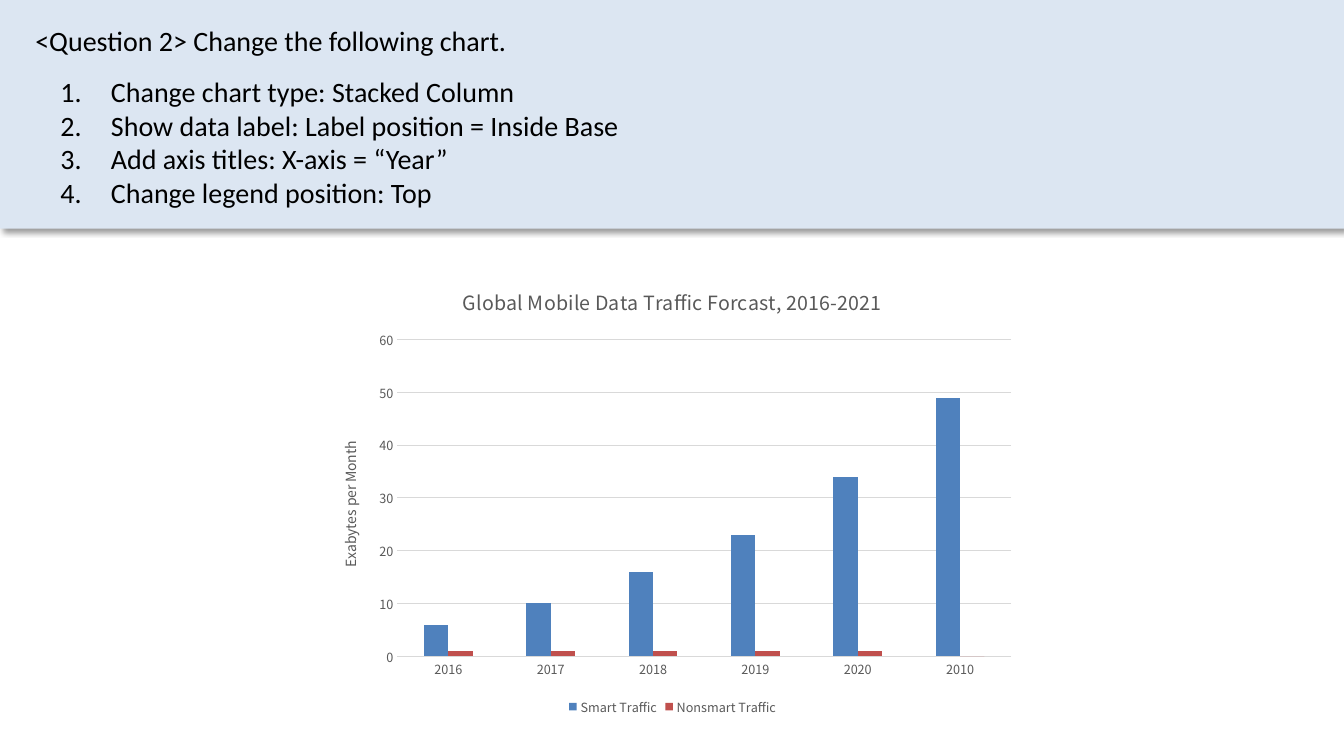
from lxml import etree
from pptx import Presentation
from pptx.chart.data import CategoryChartData
from pptx.dml.color import RGBColor
from pptx.enum.chart import XL_CHART_TYPE as ChartType, XL_LEGEND_POSITION as LegendPosition
from pptx.enum.chart import XL_TICK_MARK as TickMark
from pptx.enum.shapes import MSO_SHAPE as Preset
from pptx.enum.text import MSO_ANCHOR as Anchor, MSO_AUTO_SIZE as AutoSize, PP_ALIGN as Align
from pptx.oxml import parse_xml
from pptx.oxml.ns import nsdecls, qn
from pptx.util import Inches, Pt

CHART_FONT = "Noto Sans CJK KR"
GREY, GRID = "595959", "D9D9D9"
TASKS = [
    "Change chart type: Stacked Column",
    "Show data label: Label position = Inside Base",
    "Add axis titles: X-axis = “Year”",
    "Change legend position: Top",
]
YEARS = ["2016", "2017", "2018", "2019", "2020", "2010"]
TRAFFIC = [
    ("Smart Traffic", [6, 10, 16, 23, 34, 49], "4F81BD"),
    ("Nonsmart Traffic", [1, 1, 1, 1, 1, 0], "C0504D"),
]


def color(value):
    return RGBColor.from_string(value)


def set_font(font, name, size, value):
    font.name, font.size, font.bold = name, Pt(size), False
    font.color.rgb = color(value)


def place(shape, left, top, width, height):
    shape.left, shape.top = Inches(left), Inches(top)
    shape.width, shape.height = Inches(width), Inches(height)


def fill_placeholder(shape, lines):
    frame = shape.text_frame
    frame.text = "\n".join(lines)
    frame.word_wrap, frame.auto_size = True, AutoSize.NONE
    frame.vertical_anchor = Anchor.TOP
    frame.margin_left = frame.margin_right = frame.margin_top = frame.margin_bottom = 0
    for para in frame.paragraphs:
        para.alignment = Align.LEFT
        para.space_before = Pt(0)
        set_font(para.font, "Calibri", 20, "000000")
    return frame.paragraphs


def add_question(page, left, top, width, height):
    # Banner behind the text, with a soft shadow
    banner = page.shapes.add_shape(
        Preset.RECTANGLE, Inches(left), Inches(top), Inches(width), Inches(height))
    banner.fill.solid()
    banner.fill.fore_color.rgb = color("DCE6F2")
    banner.line.fill.background()
    banner.shadow.inherit = False
    effects = banner.element.spPr.find(qn("a:effectLst"))
    effects.append(parse_xml(
        f'<a:outerShdw {nsdecls("a")} blurRad="{Pt(4)}" dist="{Pt(3)}" dir="2700000"'
        ' algn="tl" rotWithShape="0"><a:srgbClr val="000000"><a:alpha val="40000"/>'
        '</a:srgbClr></a:outerShdw>'))
    page.shapes.element.insert(2, banner.element)

    # Question line
    title = page.shapes.title
    place(title, left + 0.35, top + 0.23, width - 0.7, 0.4)
    fill_placeholder(title, ["<Question 2> Change the following chart."])

    # Numbered tasks
    body = page.placeholders[1]
    place(body, left + 0.6, top + 0.74, width - 1.2, 1.4)
    for para in fill_placeholder(body, TASKS):
        props = para._p.get_or_add_pPr()
        props.set("marL", str(Inches(0.5)))
        props.set("indent", str(-Inches(0.5)))
        etree.SubElement(props, qn("a:buFont"), typeface="+mj-lt")
        etree.SubElement(props, qn("a:buAutoNum"), type="arabicPeriod")
        # Bullet settings precede the default run settings
        props.append(props.find(qn("a:defRPr")))


def set_title(owner, text, size):
    frame = (owner.chart_title if hasattr(owner, "chart_title") else owner.axis_title).text_frame
    frame.text = text
    set_font(frame.paragraphs[0].font, CHART_FONT, size, GREY)


def set_plot_area(chart, left, top, width, height):
    area = chart.element.find(".//" + qn("c:plotArea"))
    for old in area.findall(qn("c:layout")):
        area.remove(old)
    area.insert(0, parse_xml(
        f'<c:layout {nsdecls("c")}><c:manualLayout><c:layoutTarget val="inner"/>'
        f'<c:xMode val="edge"/><c:yMode val="edge"/><c:x val="{left}"/><c:y val="{top}"/>'
        f'<c:w val="{width}"/><c:h val="{height}"/></c:manualLayout></c:layout>'))


def add_traffic_chart(page, left, top, width, height):
    data = CategoryChartData()
    data.categories = YEARS
    for name, values, _ in TRAFFIC:
        data.add_series(name, values)
    chart = page.shapes.add_chart(
        ChartType.COLUMN_CLUSTERED, Inches(left), Inches(top),
        Inches(width), Inches(height), data).chart
    set_font(chart.font, CHART_FONT, 10, "000000")
    set_title(chart, "Global Mobile Data Traffic Forcast, 2016-2021", 14)
    set_plot_area(chart, 0.11, 0.16, 0.87, 0.7)

    # Columns
    plot = chart.plots[0]
    plot.gap_width, plot.overlap, plot.vary_by_categories = 219, 0, False
    for series, (_, _, fill) in zip(plot.series, TRAFFIC):
        series.format.fill.solid()
        series.format.fill.fore_color.rgb = color(fill)

    # Axes
    years, amounts = chart.category_axis, chart.value_axis
    for axis in (years, amounts):
        axis.major_tick_mark = axis.minor_tick_mark = TickMark.NONE
        set_font(axis.tick_labels.font, CHART_FONT, 9, GREY)
    amounts.minimum_scale, amounts.maximum_scale, amounts.major_unit = 0, 60, 10
    amounts.format.line.fill.background()
    amounts.has_major_gridlines = True
    for line in (years.format.line, amounts.major_gridlines.format.line):
        line.color.rgb, line.width = color(GRID), Pt(0.75)
    set_title(amounts, "Exabytes per Month", 10)

    # Legend
    chart.has_legend = True
    chart.legend.position = LegendPosition.BOTTOM
    chart.legend.include_in_layout = False
    set_font(chart.legend.font, CHART_FONT, 9, GREY)


def main():
    deck = Presentation()
    deck.slide_width, deck.slide_height = Inches(13.33), Inches(7.5)
    page = deck.slides.add_slide(deck.slide_layouts[1])
    add_question(page, 0, 0, 13.33, 2.27)
    add_traffic_chart(page, 3.17, 2.65, 7, 4.49)
    deck.save("out.pptx")


if __name__ == "__main__":
    main()
